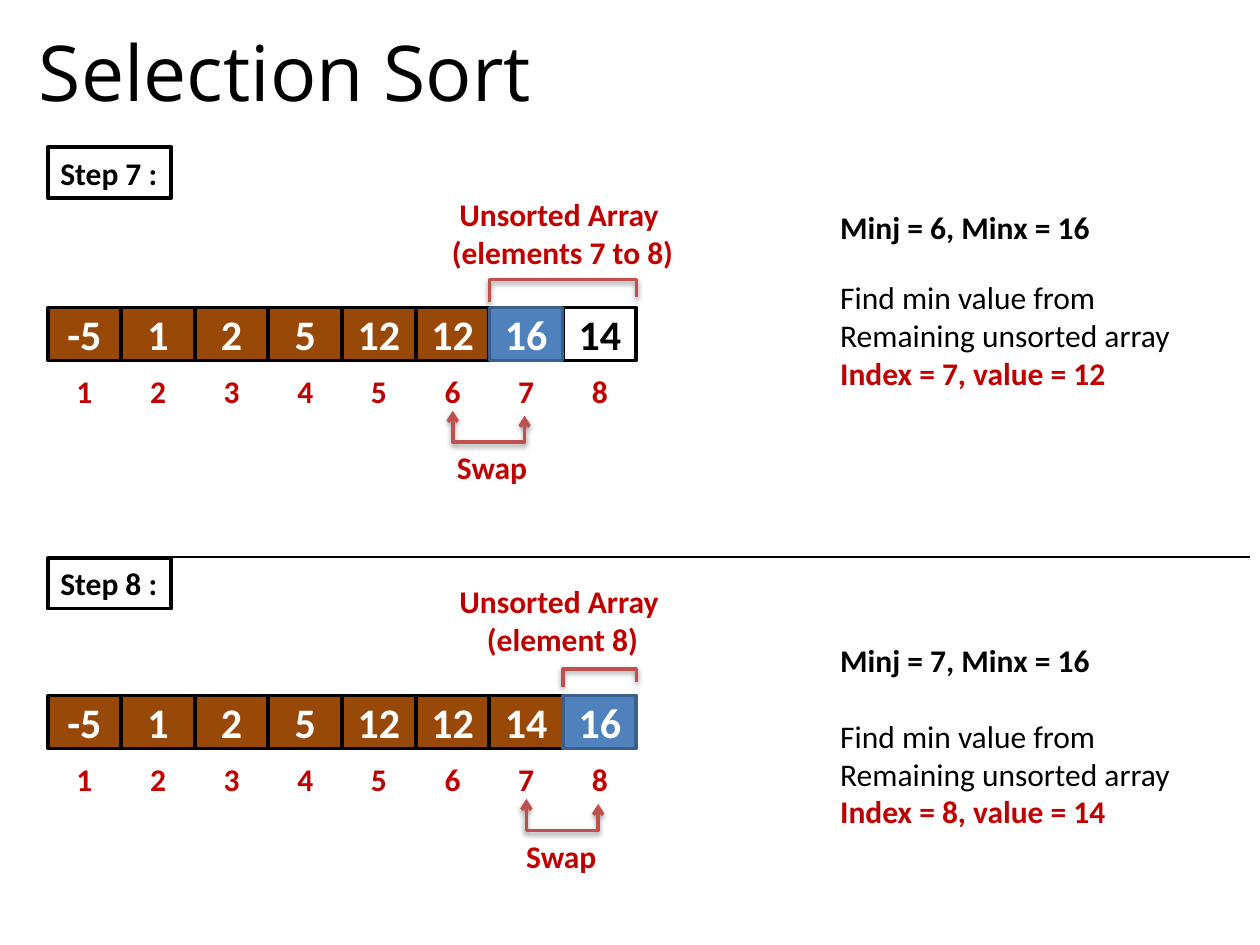
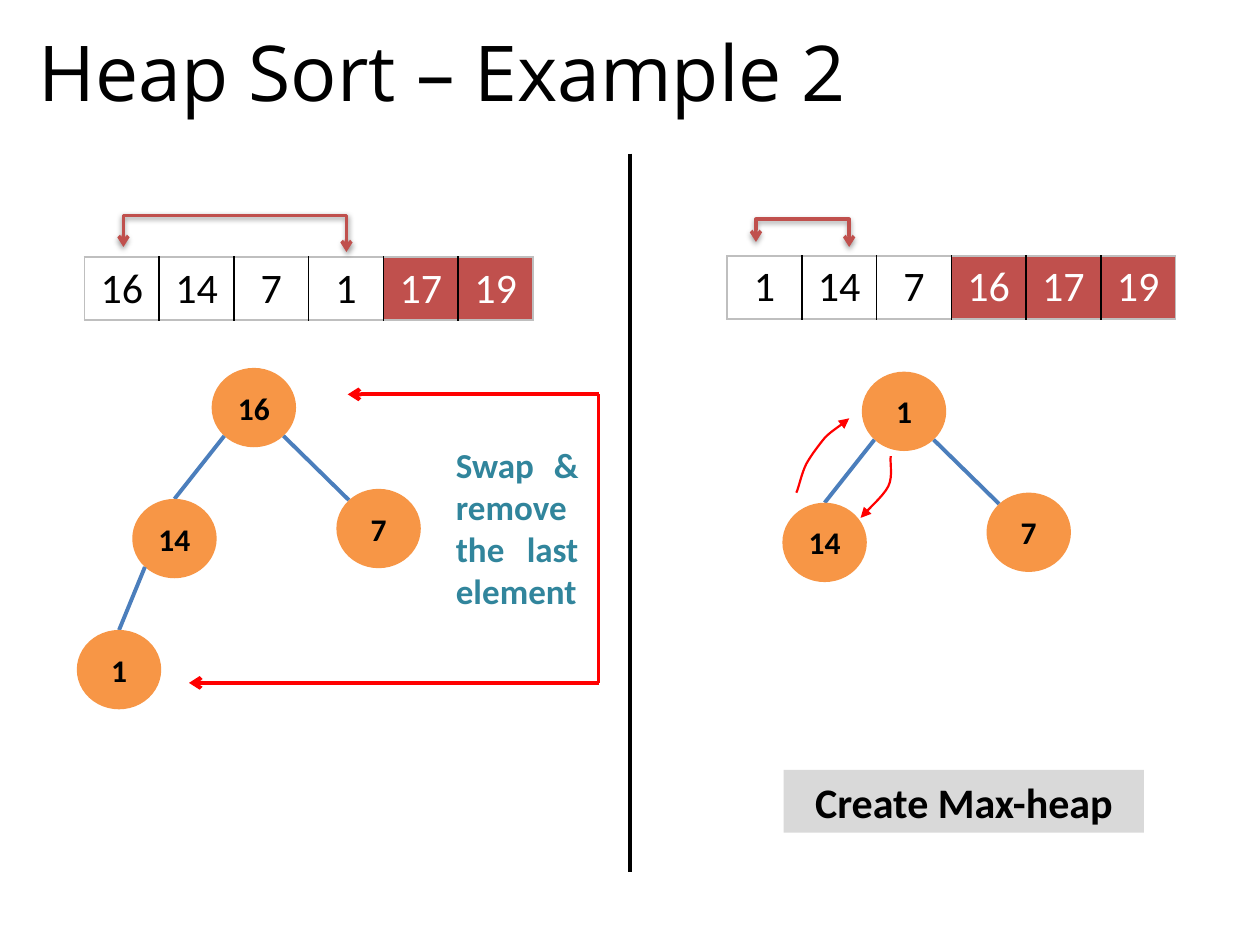
from dataclasses import dataclass

import pptx
import pptx.dml.color
import pptx.enum.shapes
import pptx.enum.text
import pptx.oxml
import pptx.oxml.ns
import pptx.util
from pptx.util import Inches

COLORS = {
    "black": "000000", "white": "FFFFFF", "sorted": "984807",
    "current": "4F81BD", "current_edge": "3A5F8C", "note": "C00000",
    "bracket": "C0504D", "node": "F79646", "edge": "4B7EBC",
    "arrow": "FF0000", "hint": "31859C", "banner": "D9D9D9", "frame": "BFBFBF",
}
BODY_FONT, TITLE_FONT = "Calibri", "Open Sans"
RECT = pptx.enum.shapes.MSO_SHAPE.RECTANGLE
OVAL = pptx.enum.shapes.MSO_SHAPE.OVAL
STRAIGHT = pptx.enum.shapes.MSO_CONNECTOR.STRAIGHT
ALIGN = pptx.enum.text.PP_ALIGN
MIDDLE = pptx.enum.text.MSO_ANCHOR.MIDDLE
GROW = pptx.enum.text.MSO_AUTO_SIZE.SHAPE_TO_FIT_TEXT
NS = pptx.oxml.ns.nsdecls("a")

Point = tuple[float, float]
Box = tuple[float, float, float, float]


@dataclass
class Line:
    text: str
    size: float = 18
    color: str = "black"
    bold: bool = True
    font: str = BODY_FONT


@dataclass
class Step:
    number: int
    label_top: float
    row_top: float
    values: list[int]
    current: int          # index of the highlighted cell
    bracket_top: float
    bracket_legs: Point
    caption: str
    caption_top: float
    minimum: str
    minimum_top: float
    finding: str
    finding_top: float
    swap_label_left: float


@dataclass
class HeapArray:
    left: float
    top: float
    values: list[int]
    heap_size: int        # cells after this one are already removed


@dataclass
class Heap:
    left: float           # position of the root
    top: float
    values: list[int]


# ---------- shared drawing helpers ----------
def rgb(name: str) -> pptx.dml.color.RGBColor:
    return pptx.dml.color.RGBColor.from_string(COLORS[name])


def write(frame, lines: list[Line], align=ALIGN.LEFT) -> None:
    for number, line in enumerate(lines):
        paragraph = frame.add_paragraph() if number else frame.paragraphs[0]
        paragraph.alignment = align
        run = paragraph.add_run()
        run.text = line.text
        run.font.name = line.font
        run.font.size = pptx.util.Pt(line.size)
        run.font.bold = line.bold
        run.font.color.rgb = rgb(line.color)


def fit_text(shape, lines: list[Line], align, wrap: bool, middle: bool) -> None:
    frame = shape.text_frame
    frame.word_wrap = wrap
    if middle:
        frame.vertical_anchor = MIDDLE
    else:
        frame.vertical_anchor = pptx.enum.text.MSO_ANCHOR.TOP
        frame.auto_size = GROW
    write(frame, lines, align)


def add_text(slide, box: Box, lines: list[Line], align=ALIGN.LEFT,
             wrap: bool = False, middle: bool = False) -> None:
    fit_text(slide.shapes.add_textbox(*map(Inches, box)), lines, align, wrap, middle)


def style_line(shape, color: str, width: float, head: str = "", tail: str = "") -> None:
    shape.line.color.rgb = rgb(color)
    shape.line.width = pptx.util.Pt(width)
    ln = shape.line._get_or_add_ln()
    for end, kind in (("headEnd", head), ("tailEnd", tail)):
        if kind:
            ln.append(pptx.oxml.parse_xml(f'<a:{end} {NS} type="{kind}"/>'))


def add_box(slide, kind, box: Box, line: Line, fill: str = "", edge: str = "",
            width: float = 2, align=ALIGN.CENTER, wrap: bool = True,
            middle: bool = True) -> None:
    shape = slide.shapes.add_shape(kind, *map(Inches, box))
    shape.shadow.inherit = False
    if fill:
        shape.fill.solid()
        shape.fill.fore_color.rgb = rgb(fill)
    else:
        shape.fill.background()
    if edge:
        style_line(shape, edge, width)
    else:
        shape.line.fill.background()
    fit_text(shape, [line], align, wrap, middle)


def add_line(slide, start: Point, end: Point, color: str, width: float = 2.25,
             tail: str = "") -> None:
    line = slide.shapes.add_connector(STRAIGHT, *map(Inches, start + end))
    style_line(line, color, width, tail=tail)
    line._element.spPr.append(pptx.oxml.parse_xml(f"<a:effectLst {NS}/>"))


def add_outline(slide, points: list[Point], color: str, width: float,
                head: str = "", tail: str = "", shadow: bool = False) -> None:
    corners = [(Inches(x), Inches(y)) for x, y in points]
    builder = slide.shapes.build_freeform(*corners[0])
    builder.add_line_segments(corners[1:], close=False)
    shape = builder.convert_to_shape()
    shape.fill.background()
    style_line(shape, color, width, head, tail)
    shape.shadow.inherit = False
    if shadow:
        effects = shape._element.spPr.find(pptx.oxml.ns.qn("a:effectLst"))
        effects.append(pptx.oxml.parse_xml(
            f'<a:outerShdw {NS} blurRad="40000" dist="20000" dir="5400000" '
            'rotWithShape="0"><a:srgbClr val="000000"><a:alpha val="38000"/>'
            '</a:srgbClr></a:outerShdw>'))


def add_bracket(slide, left: float, right: float, bar: float, legs: Point,
                arrows: bool = False) -> None:
    """Bar with a leg at each end; negative legs point up."""
    ends = "arrow" if arrows else ""
    add_outline(slide, [(left, bar + legs[0]), (left, bar), (right, bar),
                        (right, bar + legs[1])], "bracket", 2, ends, ends, shadow=True)


def add_titled_slide(deck, title: str):
    slide = deck.slides.add_slide(deck.slide_layouts[6])
    add_text(slide, (0.21, 0.12, 9.58, 0.88),
             [Line(title, 44, bold=False, font=TITLE_FONT)], wrap=True, middle=True)
    return slide


# ---------- selection sort ----------
ROW_LEFT, PITCH, CELL_W, CELL_H = 0.38, 4.09 / 7, 0.58, 0.42
ROW_RIGHT = 5.05
NOTE_LEFT = 6.57

STEPS = [
    Step(7, 1.17, 2.44, [-5, 1, 2, 5, 12, 12, 16, 14], 6, 2.22, (0.18, 0.14),
         "(elements 7 to 8)", 1.5, "Minj = 6, Minx = 16", 1.6,
         "Index = 7, value = 12", 2.16, 3.41),
    Step(8, 4.43, 5.52, [-5, 1, 2, 5, 12, 12, 14, 16], 7, 5.31, (0.14, 0.1),
         "(element 8)", 4.57, "Minj = 7, Minx = 16", 5.04,
         "Index = 8, value = 14", 5.64, 3.96),
]


def draw_step(slide, step: Step) -> None:
    add_box(slide, RECT, (ROW_LEFT, step.label_top, 0.98, 0.4),
            Line(f"Step {step.number} :"), edge="black", width=2.25,
            align=ALIGN.LEFT, wrap=False, middle=False)

    # Array cells, the current one on top, and their indices
    order = sorted(range(len(step.values)), key=lambda i: i == step.current)
    for i in order:
        fill, edge, ink = "sorted", "black", "white"
        if i == step.current:
            fill, edge = "current", "current_edge"
        elif i > step.current:
            fill, ink = "white", "black"
        left = ROW_LEFT + i * PITCH
        add_box(slide, RECT, (left, step.row_top, CELL_W, CELL_H),
                Line(str(step.values[i]), 24, ink), fill, edge)
        add_box(slide, RECT, (left, step.row_top + 0.45, CELL_W, CELL_H),
                Line(str(i + 1), color="note"), "white")

    # Unsorted part
    add_bracket(slide, ROW_LEFT + step.current * PITCH, ROW_RIGHT,
                step.bracket_top, step.bracket_legs)
    add_text(slide, (3.48, step.caption_top, 1.97, 0.71),
             [Line("Unsorted Array ", color="note"), Line(step.caption, color="note")],
             ALIGN.CENTER)

    # Swap arrows
    swap_left = ROW_LEFT + (step.current - 0.5) * PITCH
    swap_bar = step.row_top + 1.07
    add_bracket(slide, swap_left, swap_left + 0.57, swap_bar, (-0.25, -0.21), arrows=True)
    add_text(slide, (step.swap_label_left, swap_bar, 0.99, 0.4),
             [Line("Swap", color="note")], ALIGN.CENTER, wrap=True)

    # Explanation
    add_text(slide, (NOTE_LEFT, step.minimum_top, 2.24, 0.4), [Line(step.minimum)])
    add_text(slide, (NOTE_LEFT, step.finding_top, 2.88, 1.01),
             [Line("Find min value from", bold=False),
              Line("Remaining unsorted array", bold=False),
              Line(step.finding, color="note")])


def draw_selection_sort(deck) -> None:
    slide = add_titled_slide(deck, "Selection Sort")
    for step in STEPS:
        draw_step(slide, step)
    add_line(slide, (ROW_LEFT, 4.42), (9.92, 4.42), "black", 0.75)


# ---------- heap sort ----------
ARRAY_W, ARRAY_H = 3.56, 0.5
NODE_W, NODE_H = 0.67, 0.63
NODE_OFFSETS = [(0, 0), (-0.63, 1.04), (0.99, 0.96), (-1.07, 2.08)]

ARRAYS = [HeapArray(0.67, 2.04, [16, 14, 7, 1, 17, 19], 4),
          HeapArray(5.77, 2.03, [1, 14, 7, 16, 17, 19], 3)]
HEAPS = [Heap(1.68, 2.92, [16, 14, 7, 1]), Heap(6.84, 2.95, [1, 14, 7])]
EXCHANGE_CURVES = [
    [(6.32, 3.91), (6.34, 3.87), (6.36, 3.76), (6.4, 3.68), (6.44, 3.61),
     (6.5, 3.53), (6.55, 3.47), (6.61, 3.41), (6.7, 3.36), (6.74, 3.32)],
    [(7.07, 3.62), (7.06, 3.66), (7.09, 3.78), (7.05, 3.86), (7.01, 3.94),
     (6.87, 4.06), (6.83, 4.11)],
]


def draw_array(slide, array: HeapArray) -> None:
    count = len(array.values)
    table = slide.shapes.add_table(1, count, *map(
        Inches, (array.left, array.top, ARRAY_W, ARRAY_H))).table
    table.first_row = table.horz_banding = False
    for i, value in enumerate(array.values):
        table.columns[i].width = Inches(ARRAY_W / count)
        cell = table.cell(0, i)
        inner = {"L": i > 0, "R": i < count - 1, "T": False, "B": False}
        for side, is_inner in inner.items():
            color = COLORS["black" if is_inner else "frame"]
            cell._tc.get_or_add_tcPr().append(pptx.oxml.parse_xml(
                f'<a:ln{side} {NS} w="12700"><a:solidFill><a:srgbClr val="{color}"/>'
                f'</a:solidFill></a:ln{side}>'))
        removed = i >= array.heap_size
        cell.fill.solid()
        cell.fill.fore_color.rgb = rgb("bracket" if removed else "white")
        ink = "white" if removed else "black"
        write(cell.text_frame, [Line(str(value), 24, ink, bold=False)], ALIGN.CENTER)


def draw_heap(slide, heap: Heap) -> None:
    spots = [(heap.left + dx, heap.top + dy) for dx, dy in NODE_OFFSETS]
    for i, value in enumerate(heap.values):
        x, y = spots[i]
        if i:
            parent_x, parent_y = spots[(i - 1) // 2]
            is_right = i % 2 == 0
            start = (parent_x + (0.57 if is_right else 0.1), parent_y + 0.54)
            end = (x + 0.1, y + 0.09) if is_right else (x + NODE_W / 2, y)
            add_line(slide, start, end, "edge")
        add_box(slide, OVAL, (x, y, NODE_W, NODE_H), Line(str(value)), "node")


def bezier(points: list[Point], steps: int = 8) -> list[Point]:
    """Sample a chain of cubic curves."""
    sampled = [points[0]]
    for k in range(0, len(points) - 1, 3):
        for n in range(1, steps + 1):
            t = n / steps
            weights = ((1 - t) ** 3, 3 * t * (1 - t) ** 2, 3 * t * t * (1 - t), t ** 3)
            pairs = list(zip(weights, points[k:k + 4]))
            sampled.append((sum(w * p[0] for w, p in pairs),
                            sum(w * p[1] for w, p in pairs)))
    return sampled


def draw_heap_sort(deck) -> None:
    slide = add_titled_slide(deck, "Heap Sort – Example 2")
    add_line(slide, (5, 1.22), (5, 6.92), "black")
    for heap in HEAPS:
        draw_heap(slide, heap)
    for array in ARRAYS:
        draw_array(slide, array)
    add_bracket(slide, 0.98, 2.75, 1.71, (0.25, 0.29), arrows=True)
    add_bracket(slide, 6, 6.74, 1.74, (0.18, 0.22), arrows=True)

    # Root and last element change places
    top_corner, bottom_corner = (4.75, 3.13), (4.75, 5.42)
    add_line(slide, top_corner, (2.76, 3.13), "arrow", tail="arrow")
    add_line(slide, top_corner, bottom_corner, "arrow")
    add_line(slide, bottom_corner, (1.5, 5.42), "arrow", tail="arrow")
    add_text(slide, (3.52, 3.47, 1.17, 1.45),
             [Line("Swap & remove the last element", 20, "hint")],
             ALIGN.JUSTIFY, wrap=True)

    # Rebuilding the heap
    for curve in EXCHANGE_CURVES:
        add_outline(slide, bezier(curve), "arrow", 1.25, tail="triangle")
    add_box(slide, RECT, (6.22, 6.11, 2.86, 0.5), Line("Create Max-heap", 24),
            "banner", middle=False)


def main() -> None:
    deck = pptx.Presentation()
    deck.slide_width, deck.slide_height = Inches(10), Inches(7.5)
    draw_selection_sort(deck)
    draw_heap_sort(deck)
    deck.save("out.pptx")


if __name__ == "__main__":
    main()
